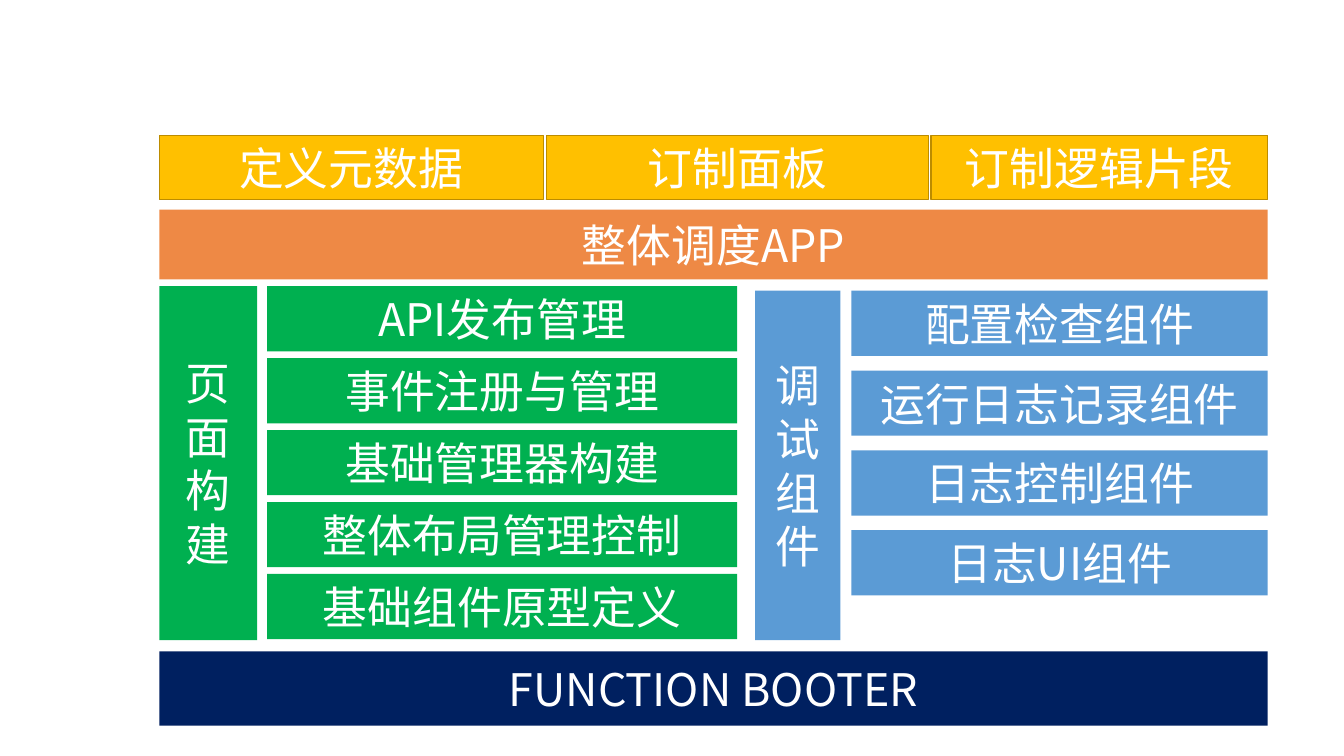
from lxml import etree
from pptx import Presentation
from pptx import util as u
from pptx.dml.color import RGBColor
from pptx.enum import shapes, text
from pptx.oxml.ns import qn

WHITE = RGBColor(0xFF, 0xFF, 0xFF)
GOLD = RGBColor(0xFF, 0xC0, 0x00)
GOLD_EDGE = RGBColor(0xBC, 0x8C, 0x00)
ORANGE = RGBColor(0xED, 0x7D, 0x31)
GREEN = RGBColor(0x00, 0xB0, 0x50)
BLUE = RGBColor(0x5B, 0x9B, 0xD5)
NAVY = RGBColor(0x00, 0x20, 0x60)
FONT = "Noto Sans CJK SC"
LEFT, RIGHT = 113.8, 906
ROW_HEIGHT = 46.6

# Blank layout
deck = Presentation()
deck.slide_width, deck.slide_height = u.Pt(960.5), u.Pt(540)
page = deck.slides.add_slide(deck.slide_layouts[6])


def add_block(words, left, top, width, height, fill, side_inset=7.2):
    box = page.shapes.add_shape(shapes.MSO_SHAPE.RECTANGLE,
                                u.Pt(left), u.Pt(top), u.Pt(width), u.Pt(height))
    box.shadow.inherit = False
    box.fill.solid()
    box.fill.fore_color.rgb = fill
    box.line.fill.background()
    frame = box.text_frame
    frame.word_wrap = True
    frame.vertical_anchor = text.MSO_ANCHOR.MIDDLE
    frame.margin_left = frame.margin_right = u.Pt(side_inset)
    frame.margin_top = frame.margin_bottom = u.Pt(side_inset / 2)
    para = frame.paragraphs[0]
    para.alignment = text.PP_ALIGN.CENTER
    span = para.add_run()
    span.text = words
    span.font.size = u.Pt(32)
    span.font.name = FONT
    span.font.color.rgb = WHITE
    # East Asian typeface
    etree.SubElement(span.font._element, qn("a:ea")).set("typeface", FONT)
    return box


# Customisation row
for words, left, width in [("定义元数据", LEFT, 274.5),
                           ("订制面板", 390.5, 272.9),
                           ("订制逻辑片段", 665.5, 240.5)]:
    tile = add_block(words, left, 96.6, width, 46, GOLD)
    tile.line.color.rgb = GOLD_EDGE
    tile.line.width = u.Pt(1)

# Scheduling bar, slightly transparent
scheduler = add_block("整体调度APP", LEFT, 149.8, RIGHT - LEFT, 49.7, ORANGE)
color = scheduler.fill._xPr.find(qn("a:solidFill"))[0]
etree.SubElement(color, qn("a:alpha")).set("val", "90000")

# Page building and debugging: one tall label and its stack of rows each
groups = [
    ("页面构建", LEFT, 70, 204.4, 252.8, GREEN, 5.2, 190.9, 336, 51.4,
     ["API发布管理", "事件注册与管理", "基础管理器构建", "整体布局管理控制", "基础组件原型定义"]),
    ("调试组件", 539.6, 61, 207.7, 249.5, BLUE, 7.2, 608.5, 297.5, 57,
     ["配置检查组件", "运行日志记录组件", "日志控制组件", "日志UI组件"]),
]
for label, left, width, top, height, fill, inset, row_left, row_width, pitch, rows in groups:
    column = add_block(label, left, top, width, height, fill, inset)
    column.text_frame.paragraphs[0].line_spacing = u.Pt(38.3)
    for index, words in enumerate(rows):
        add_block(words, row_left, top + index * pitch, row_width, ROW_HEIGHT, fill, inset)

# Base
add_block("FUNCTION BOOTER", LEFT, 465.3, RIGHT - LEFT, 53, NAVY)

deck.save("out.pptx")
